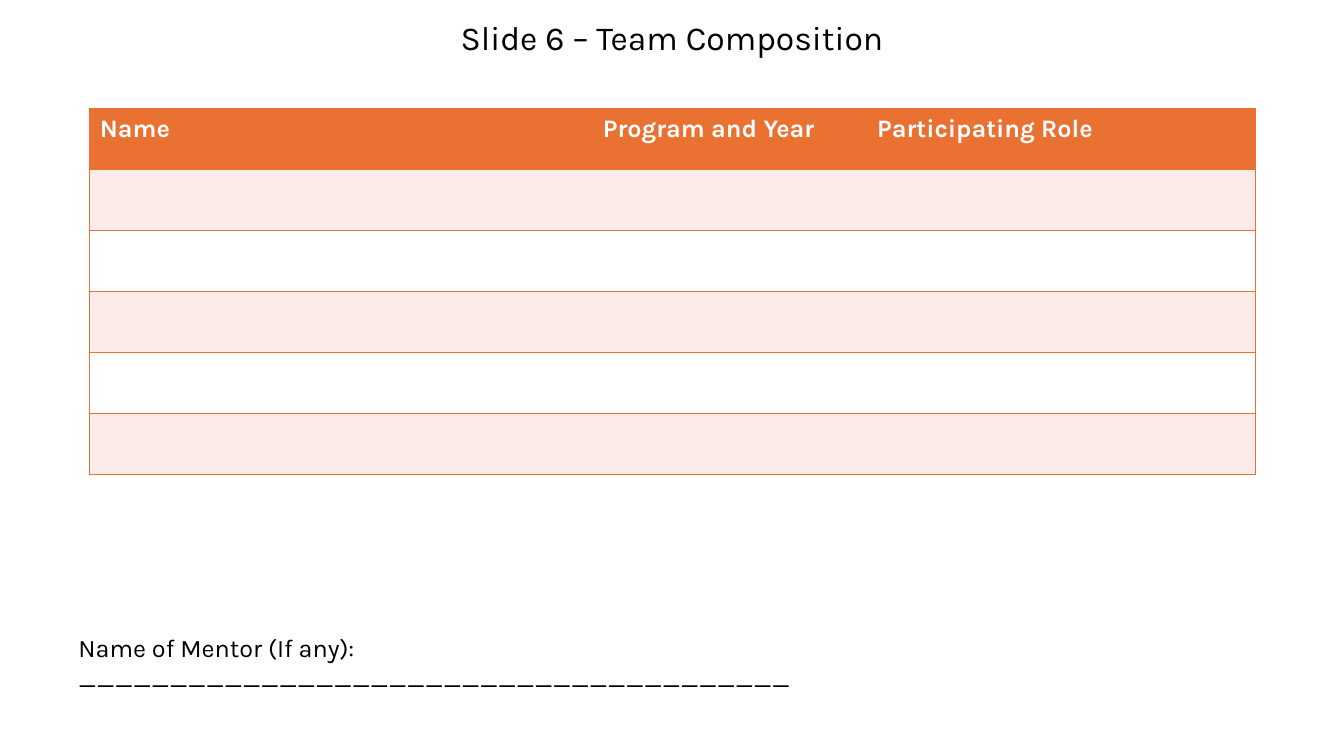
from lxml import etree
from pptx import Presentation
from pptx.dml.color import RGBColor
from pptx.enum import text
from pptx.oxml import ns
from pptx.util import Inches, Pt

COLORS = {"ink": "000000", "accent": "E97132", "band": "FBEBE8", "paper": "FFFFFF"}
FONT = "Karla"
HEADINGS = ["Name", "Program and Year", "Participating Role"]
COLUMN_WIDTHS = [4.99, 2.72, 3.85]
ROW_COUNT = 6


def color(name):
    return RGBColor.from_string(COLORS[name])


def style_text(para, size, ink="ink", bold=False):
    for span in para.runs:
        span.font.name = FONT
        span.font.size = Pt(size)
        span.font.bold = bold
        span.font.color.rgb = color(ink)


def add_text(page, box, words, size):
    frame = page.shapes.add_textbox(*map(Inches, box)).text_frame
    frame.word_wrap = True
    frame.text = words
    style_text(frame.paragraphs[0], size)
    return frame


def add_title(page, box):
    frame = add_text(page, box, "Slide 6 – Team Composition", 24)
    frame.vertical_anchor = text.MSO_ANCHOR.MIDDLE
    frame.paragraphs[0].alignment = text.PP_ALIGN.CENTER


def set_borders(cell, visible_sides):
    """Draw thin accent lines on the given sides and clear the others."""
    properties = cell._tc.get_or_add_tcPr()
    for index, side in enumerate("LRTB"):
        line = etree.Element(ns.qn(f"a:ln{side}"), w=str(Pt(1)))
        if side in visible_sides:
            fill = etree.SubElement(line, ns.qn("a:solidFill"))
            etree.SubElement(fill, ns.qn("a:srgbClr"), val=COLORS["accent"])
        else:
            etree.SubElement(line, ns.qn("a:noFill"))
        properties.insert(index, line)


def add_team_table(page, box):
    last = len(HEADINGS) - 1
    frame = page.shapes.add_table(ROW_COUNT, len(HEADINGS), *map(Inches, box))
    table = frame.table
    table.horz_banding = False
    for column, width in zip(table.columns, COLUMN_WIDTHS):
        column.width = Inches(width)
    for r, row in enumerate(table.rows):
        row.height = Inches(box[3] / ROW_COUNT)
        fill = "accent" if r == 0 else "band" if r % 2 else "paper"
        for c, cell in enumerate(row.cells):
            cell.fill.solid()
            cell.fill.fore_color.rgb = color(fill)
            set_borders(cell, "TB" + "L" * (c == 0) + "R" * (c == last))
    for cell, heading in zip(table.rows[0].cells, HEADINGS):
        cell.text = heading
        style_text(cell.text_frame.paragraphs[0], 18, "paper", bold=True)


def add_mentor_line(page, box):
    frame = add_text(page, box, "Name of Mentor (If any): " + "_" * 39, 18)
    frame.auto_size = text.MSO_AUTO_SIZE.SHAPE_TO_FIT_TEXT


def main():
    deck = Presentation()
    deck.slide_width, deck.slide_height = Inches(13.33), Inches(7.5)
    page = deck.slides.add_slide(deck.slide_layouts[6])
    add_title(page, (0, 0, 13.33, 0.73))
    add_team_table(page, (0.89, 1.08, sum(COLUMN_WIDTHS), 3.63))
    add_mentor_line(page, (0.68, 6.22, 7.64, 0.4))
    deck.save("out.pptx")


if __name__ == "__main__":
    main()
